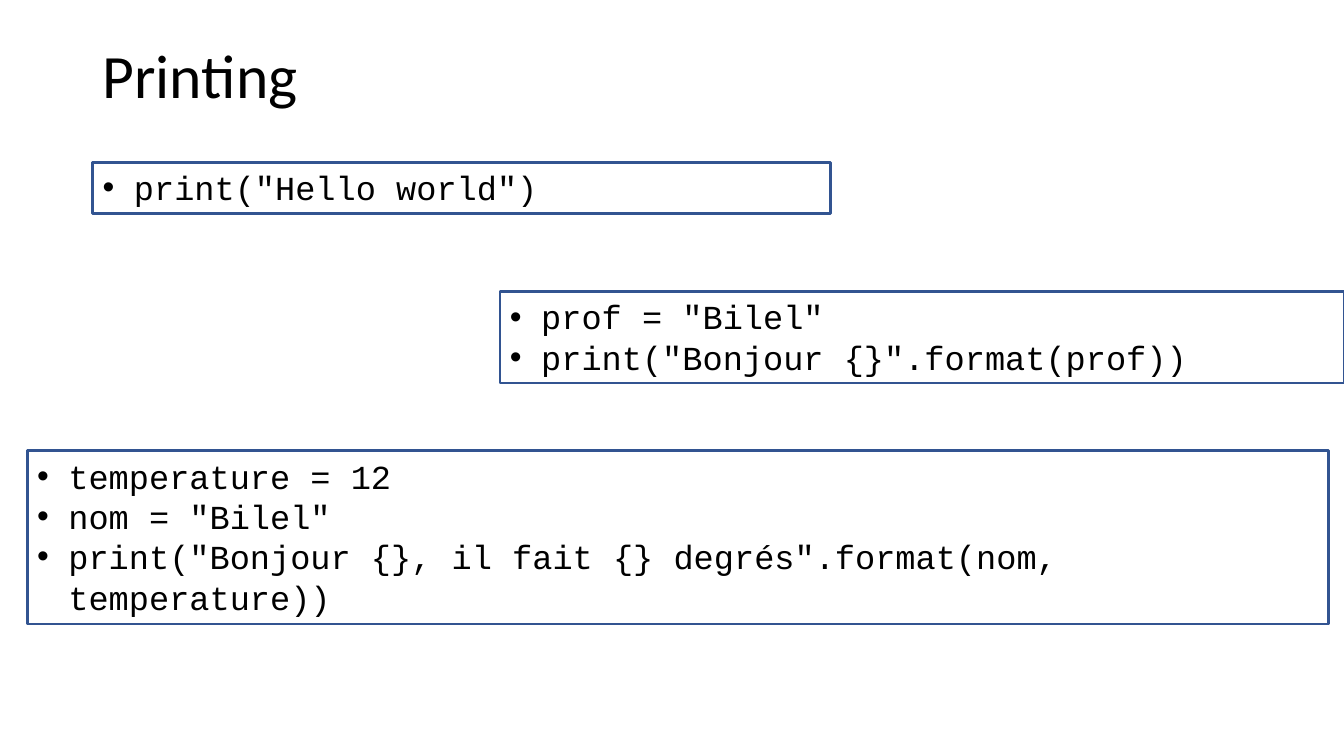
from lxml.etree import SubElement
from pptx import Presentation
from pptx.dml.color import RGBColor
from pptx.enum.shapes import MSO_SHAPE
from pptx.enum.text import MSO_ANCHOR, MSO_AUTO_SIZE, PP_ALIGN
from pptx.oxml.ns import qn
from pptx.util import Inches, Pt

TITLE = ("Printing", (0.92, 0.4, 11.5, 1.45))
EXAMPLES = [
    ((0.92, 1.61, 7.32), ['print("Hello world")']),
    ((4.96, 2.89, 8.37), ['prof = "Bilel"', 'print("Bonjour {}".format(prof))']),
    ((0.27, 4.47, 12.91), [
        "temperature = 12",
        'nom = "Bilel"',
        'print("Bonjour {}, il fait {} degrés".format(nom, temperature))',
    ]),
]
WRAP_AT = 60
LINE_HEIGHT = 0.405
PADDING = 0.1
INDENT = Inches(0.31)

THEME = {
    "border": RGBColor(0x32, 0x54, 0x91),
    "border_width": Pt(2),
    "text": RGBColor(0, 0, 0),
    "title": {"name": "Calibri", "size": Pt(44)},
    "code": {"name": "Courier New", "size": Pt(24)},
}


def write(p, text, style):
    r = p.add_run()
    r.text = text
    for key, value in THEME[style].items():
        setattr(r.font, key, value)
    r.font.color.rgb = THEME["text"]


def set_frame(tf, **values):
    for key, value in values.items():
        setattr(tf, key, value)


def add_bullet(p):
    pPr = p._p.get_or_add_pPr()
    pPr.set("marL", str(INDENT))
    pPr.set("indent", str(-INDENT))
    SubElement(pPr, qn("a:buFont")).set("typeface", "Arial")
    SubElement(pPr, qn("a:buChar")).set("char", "•")


def add_title(s):
    text, box = TITLE
    tf = s.shapes.add_textbox(*map(Inches, box)).text_frame
    set_frame(tf, word_wrap=True, vertical_anchor=MSO_ANCHOR.TOP)
    p = tf.paragraphs[0]
    p.line_spacing = 0.9
    write(p, text, "title")


def add_example(s, place, lines):
    rows = sum(1 + len(line) // WRAP_AT for line in lines)
    height = PADDING + rows * LINE_HEIGHT
    sp = s.shapes.add_shape(MSO_SHAPE.RECTANGLE, *map(Inches, (*place, height)))
    sp.shadow.inherit = False
    sp.fill.background()
    sp.line.color.rgb = THEME["border"]
    sp.line.width = THEME["border_width"]
    tf = sp.text_frame
    set_frame(tf, word_wrap=True, vertical_anchor=MSO_ANCHOR.TOP,
              auto_size=MSO_AUTO_SIZE.SHAPE_TO_FIT_TEXT)
    for i, line in enumerate(lines):
        p = tf.add_paragraph() if i else tf.paragraphs[0]
        add_bullet(p)
        p.alignment = PP_ALIGN.LEFT
        write(p, line, "code")


def main():
    prs = Presentation()
    prs.slide_width, prs.slide_height = Inches(13.33), Inches(7.5)
    s = prs.slides.add_slide(prs.slide_layouts[6])
    for place, lines in EXAMPLES:
        add_example(s, place, lines)
    add_title(s)
    prs.save("out.pptx")


if __name__ == "__main__":
    main()
